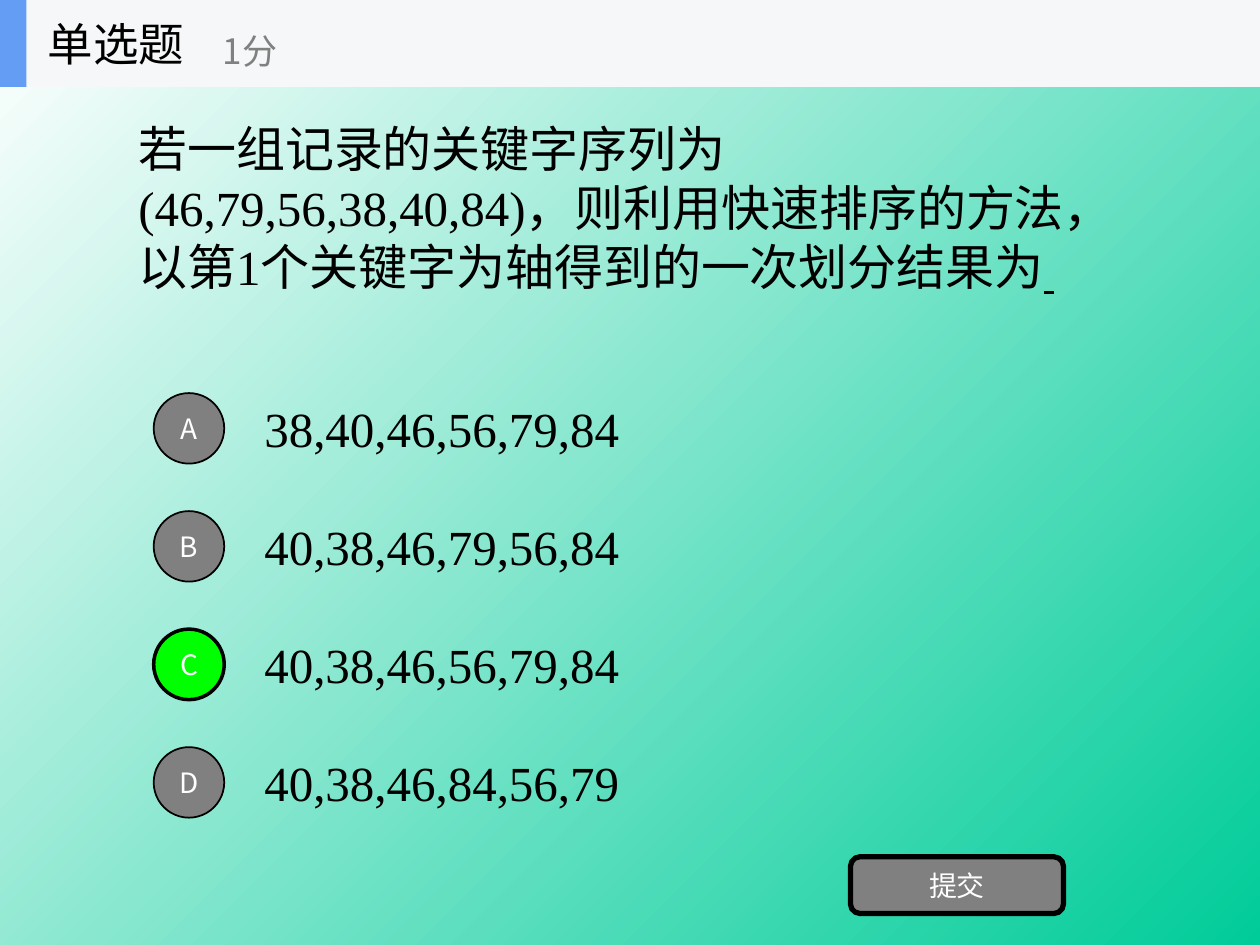
from dataclasses import dataclass

from lxml import etree
from pptx import Presentation
from pptx import util as u
from pptx.dml.color import RGBColor
from pptx.enum import shapes, text
from pptx.oxml.ns import qn


@dataclass(frozen=True)
class Theme:
    black: str = "000000"
    white: str = "FFFFFF"
    grey: str = "808080"
    green: str = "00FF00"
    mint: str = "00CC99"
    blue: str = "639EF4"
    header: str = "F6F7F8"
    serif: str = "Times New Roman"
    sans: str = "Noto Sans CJK SC"
    body: int = 28
    title: int = 26
    score: int = 20
    label: int = 16


theme = Theme()


def write(shape, content, size=theme.body, font=theme.serif, color=theme.black,
          align=text.PP_ALIGN.LEFT, wrap=True, underline=None):
    frame = shape.text_frame
    frame.word_wrap = wrap
    frame.vertical_anchor = text.MSO_ANCHOR.MIDDLE
    paragraph = frame.paragraphs[0]
    paragraph.alignment = align
    paragraph._p.get_or_add_pPr().set("hangingPunct", "0")
    run = paragraph.add_run()
    run.text = content
    run.font.size = u.Pt(size)
    run.font.name = font
    run.font.color.rgb = RGBColor.from_string(color)
    run.font.underline = underline
    east_asian = etree.SubElement(run.font._element, qn("a:ea"))
    east_asian.set("typeface", theme.sans)


def add_block(parent, kind, left, top, width, height, fill, line=0):
    shape = parent.add_shape(kind, u.Inches(left), u.Inches(top),
                             u.Inches(width), u.Inches(height))
    shape.shadow.inherit = False
    shape.fill.solid()
    shape.fill.fore_color.rgb = RGBColor.from_string(fill)
    if line:
        shape.line.color.rgb = RGBColor.from_string(theme.black)
        shape.line.width = u.Pt(line)
    else:
        shape.line.fill.background()
    return shape


presentation = Presentation()
presentation.slide_width = u.Inches(10)
presentation.slide_height = u.Inches(7.5)
slide = presentation.slides.add_slide(presentation.slide_layouts[6])

background = slide.background.fill
background.gradient()
background.gradient_angle = 315
for stop, color in zip(background.gradient_stops, (theme.white, theme.mint)):
    stop.color.rgb = RGBColor.from_string(color)

question = slide.shapes.add_textbox(u.Inches(1), u.Inches(0.47), u.Inches(8), u.Inches(2.34))
write(question, "若一组记录的关键字序列为(46,79,56,38,40,84)，则利用快速排序的方法，"
                "以第1个关键字为轴得到的一次划分结果为")
write(question, " ", underline=True)

label_format = dict(size=theme.label, font=theme.sans, color=theme.white,
                    align=text.PP_ALIGN.CENTER)
options = {
    "A": "38,40,46,56,79,84",
    "B": "40,38,46,79,56,84",
    "C": "40,38,46,56,79,84",
    "D": "40,38,46,84,56,79",
}
correct = "C"
first_top, last_top = 3.05, 5.86
pitch = (last_top - first_top) / (len(options) - 1)
for index, (letter, answer) in enumerate(options.items()):
    top = first_top + pitch * index
    answer_box = slide.shapes.add_textbox(u.Inches(2), u.Inches(top), u.Inches(7), u.Inches(0.7))
    write(answer_box, answer)
    fill, line = (theme.green, 2) if letter == correct else (theme.grey, 1)
    circle = add_block(slide.shapes, shapes.MSO_SHAPE.OVAL,
                       1.22, top + 0.07, 0.56, 0.56, fill, line)
    write(circle, letter, **label_format)

submit = add_block(slide.shapes, shapes.MSO_SHAPE.ROUNDED_RECTANGLE,
                   6.75, 6.8, 1.69, 0.45, theme.grey, 3)
write(submit, "提交", **label_format)

header = slide.shapes.add_group_shape().shapes
add_block(header, shapes.MSO_SHAPE.RECTANGLE, 0, 0, 10, 0.69, theme.header)
add_block(header, shapes.MSO_SHAPE.RECTANGLE, 0, 0, 0.21, 0.69, theme.blue)
title = header.add_textbox(u.Inches(0.28), u.Inches(0), u.Inches(2.08), u.Inches(0.69))
write(title, "单选题", size=theme.title, font=theme.sans, wrap=False)
score = header.add_textbox(u.Inches(1.67), u.Inches(0.12), u.Inches(2.5), u.Inches(0.56))
write(score, "1分", size=theme.score, font=theme.sans, color=theme.grey, wrap=False)

presentation.save("out.pptx")
